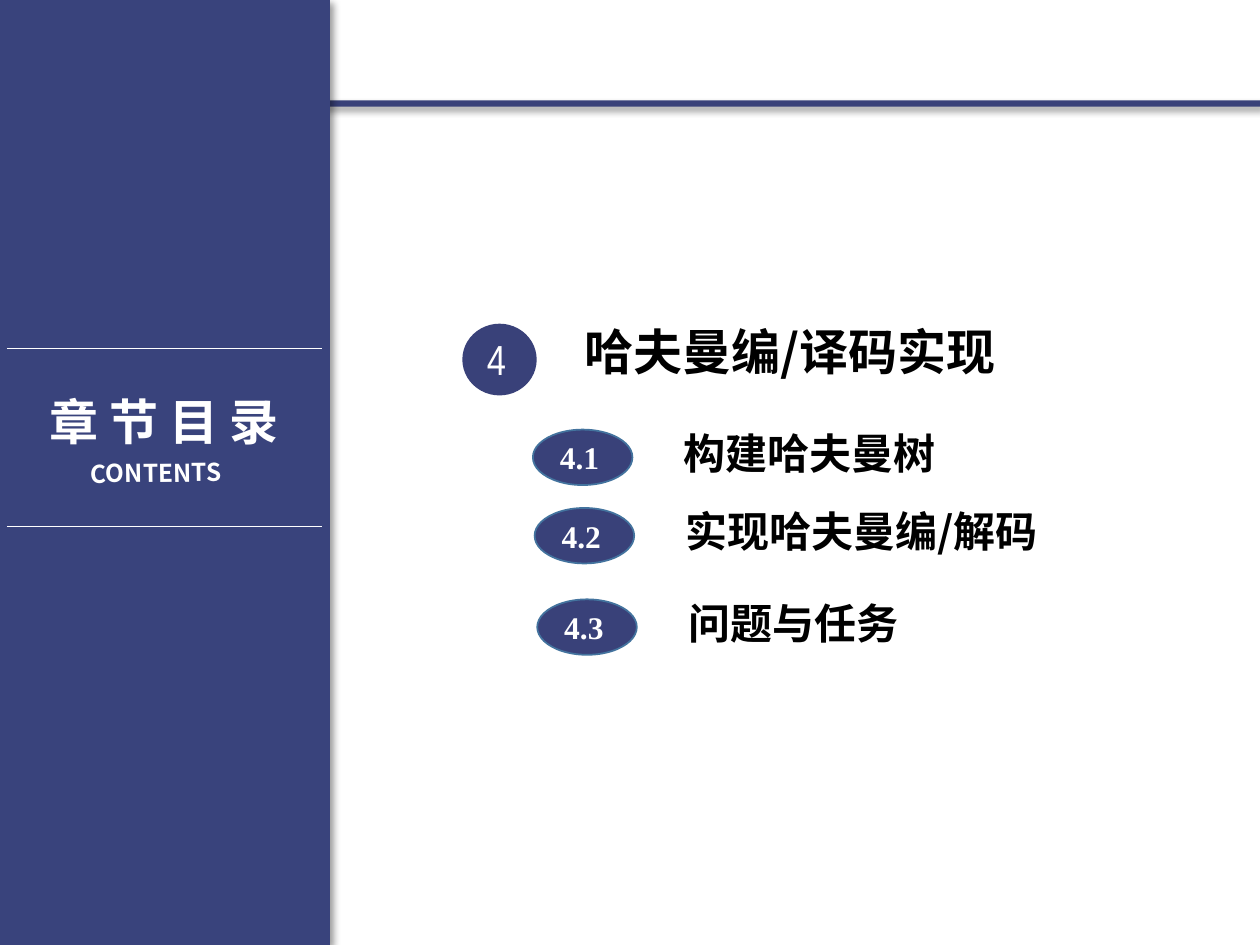
from lxml.etree import SubElement
from pptx import Presentation
from pptx.dml.color import RGBColor
from pptx.enum.shapes import MSO_CONNECTOR, MSO_SHAPE
from pptx.enum.text import MSO_ANCHOR, MSO_AUTO_SIZE, PP_ALIGN
from pptx.oxml.ns import qn
from pptx.util import Pt

SANS, SERIF, NARROW = "Noto Sans CJK SC", "Times New Roman", "Arial Narrow"
NAVY, SIDEBAR, OUTLINE, WHITE, BLACK = "394179", "39437C", "43739E", "FFFFFF", "000000"

CHAPTER = ("4", "哈夫曼编/译码实现")
SECTIONS = [
    ("4.1", "构建哈夫曼树", 304.5, 245.5),
    ("4.2", "实现哈夫曼编/解码", 305.5, 290.3),
    ("4.3", "问题与任务", 307, 342.5),
]
PANELS = [((0, 57.4, 720, 3.6), NAVY), ((0, 0, 188.6, 540), SIDEBAR)]
RULES = [199.3, 300.8]

presentation = Presentation()
presentation.slide_width, presentation.slide_height = Pt(720), Pt(540)
slide = presentation.slides.add_slide(presentation.slide_layouts[5])


def color(value):
    return RGBColor.from_string(value)


def add_filled(kind, box, fill, outline=None):
    shape = slide.shapes.add_shape(kind, *map(Pt, box))
    shape.shadow.inherit = False
    shape.fill.solid()
    shape.fill.fore_color.rgb = color(fill)
    if outline:
        shape.line.color.rgb = color(outline)
        shape.line.width = Pt(1)
    else:
        shape.line.fill.background()
    return shape


def add_shadow(shape):
    effects = shape._element.spPr.find(qn("a:effectLst"))
    shadow = SubElement(effects, qn("a:outerShdw"), blurRad=str(Pt(4)), dist=str(Pt(3)),
                        dir="2700000", algn="tl", rotWithShape="0")
    tint = SubElement(shadow, qn("a:srgbClr"), val=BLACK)
    SubElement(tint, qn("a:alpha"), val="40000")


def write(shape, text, size, font, fill, bold=True, align=PP_ALIGN.LEFT,
          anchor=MSO_ANCHOR.TOP, wrap=True):
    frame = shape.text_frame
    frame.word_wrap = wrap
    frame.auto_size = MSO_AUTO_SIZE.NONE
    frame.vertical_anchor = anchor
    paragraph = frame.paragraphs[0]
    paragraph.alignment = align
    run = paragraph.add_run()
    run.text = text
    run.font.size, run.font.bold, run.font.name = Pt(size), bold, font
    run.font.color.rgb = color(fill)
    SubElement(run._r.get_or_add_rPr(), qn("a:ea"), typeface=font)


def add_text(box, *content, **layout):
    shape = slide.shapes.add_textbox(*map(Pt, box))
    write(shape, *content, **layout)
    return shape


for box, fill in PANELS:
    add_shadow(add_filled(MSO_SHAPE.RECTANGLE, box, fill))

for y in RULES:
    rule = slide.shapes.add_connector(MSO_CONNECTOR.STRAIGHT, Pt(4), Pt(y), Pt(184), Pt(y))
    rule.line.color.rgb = color(WHITE)
    rule.line.width = Pt(0.5)
    SubElement(rule._element.spPr, qn("a:effectLst"))

add_text((8.6, 220.3, 170.6, 41), "章 节 目 录", 28, SANS, WHITE,
         align=PP_ALIGN.CENTER, wrap=False)
contents = add_text((1, 255.6, 176.4, 28.8), "CONTENTS", 14, SANS, WHITE,
                    align=PP_ALIGN.CENTER, anchor=MSO_ANCHOR.MIDDLE)
contents.rotation = 359.3

number, heading = CHAPTER
add_filled(MSO_SHAPE.OVAL, (264.2, 185, 42.5, 41), NAVY)
add_text((263.5, 187.2, 40.3, 36), number, 24, NARROW, WHITE, bold=False,
         align=PP_ALIGN.CENTER)
title = slide.shapes.title
title.left, title.top, title.width, title.height = map(Pt, (326.9, 180, 393, 41))
write(title, heading, 28, SANS, BLACK)

for number, name, left, top in SECTIONS:
    badge = add_filled(MSO_SHAPE.OVAL, (left, top, 56.9, 31.7), NAVY, OUTLINE)
    write(badge, number, 18, SERIF, WHITE, anchor=MSO_ANCHOR.MIDDLE)
    add_text((left + 79.2, top - 4.8, 278, 36), name, 24, SANS, BLACK)

presentation.save("out.pptx")
